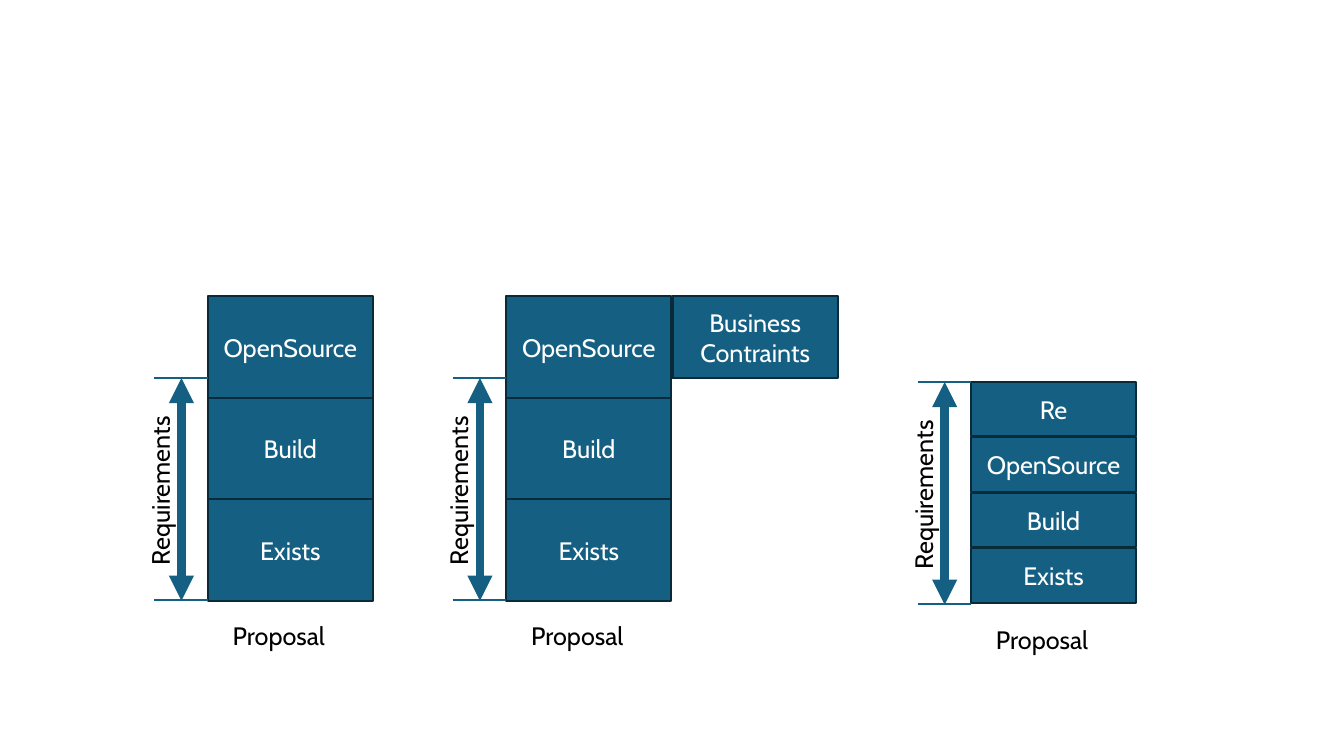
from pptx import Presentation
from pptx.dml.color import RGBColor
from pptx.enum.shapes import MSO_CONNECTOR, MSO_SHAPE
from pptx.enum.text import MSO_ANCHOR, MSO_AUTO_SIZE, PP_ALIGN
from pptx.oxml.ns import qn
from pptx.util import Emu, Pt
from lxml import etree

PX = 9144
FONT = "Cabin"
BLUE = RGBColor(0x15, 0x60, 0x82)
NAVY = RGBColor(0x09, 0x2A, 0x39)
WHITE = RGBColor(0xFF, 0xFF, 0xFF)
BLACK = RGBColor(0x00, 0x00, 0x00)
RECT = MSO_SHAPE.RECTANGLE
STRAIGHT = MSO_CONNECTOR.STRAIGHT
MIDDLE = MSO_ANCHOR.MIDDLE
GROW = MSO_AUTO_SIZE.SHAPE_TO_FIT_TEXT
LEFT, CENTER = PP_ALIGN.LEFT, PP_ALIGN.CENTER


def px(*lengths):
    return [Emu(round(n * PX)) for n in lengths]


def write(tf, text, size=18, color=BLACK, align=LEFT):
    p = tf.paragraphs[0]
    p.alignment = align
    r = p.add_run()
    r.text = text
    r.font.name = FONT
    r.font.size = Pt(size)
    r.font.color.rgb = color


def add_block(s, text, x, y, w, h):
    sp = s.shapes.add_shape(RECT, *px(x, y, w, h))
    sp.shadow.inherit = False
    sp.fill.solid()
    sp.fill.fore_color.rgb = BLUE
    sp.line.color.rgb = NAVY
    sp.line.width = Pt(1.5)
    tf = sp.text_frame
    tf.word_wrap = True
    tf.vertical_anchor = MIDDLE
    write(tf, text, color=WHITE, align=CENTER)


def add_label(s, text, x, y, w, h, rotation=0):
    sp = s.shapes.add_textbox(*px(x, y, w, h))
    sp.rotation = rotation
    tf = sp.text_frame
    tf.word_wrap = False
    tf.auto_size = GROW
    write(tf, text)


def add_line(s, x1, y1, x2, y2, width=1.5, arrows=False):
    line = s.shapes.add_connector(STRAIGHT, *px(x1, y1, x2, y2))
    line.line.color.rgb = BLUE
    line.line.width = Pt(width)
    if arrows:
        ln = line.line._get_or_add_ln()
        for end in ("a:headEnd", "a:tailEnd"):
            etree.SubElement(ln, qn(end)).set("type", "triangle")
    etree.SubElement(line._element.spPr, qn("a:effectLst"))


def add_stack(s, names, x, y, w, h, gap=0):
    pitch = h / len(names)
    for i, name in enumerate(names):
        add_block(s, name, x, y + i * pitch, w, pitch - gap)


def add_requirements(s, x, y, w, h):
    add_label(s, "Requirements", x - 81, y + 89, 173, 40, rotation=270)
    add_line(s, x + 27, y, x + 27, y + h + 1, width=6, arrows=True)
    for tick in (y, y + h):
        add_line(s, x, tick, x + w, tick)
    add_label(s, "Proposal", x + w + 15, y + h + 15, 117, 40)


def main():
    prs = Presentation()
    prs.slide_width, prs.slide_height = px(1333, 750)
    s = prs.slides.add_slide(prs.slide_layouts[6])
    parts = ["OpenSource", "Build", "Exists"]
    proposals = [
        (parts, 206, 294, 302, 0, 375),
        (parts, 502, 294, 302, 0, 375),
        (["Re"] + parts, 963, 379, 220, 1, 379),
    ]
    for names, x, y, h, gap, scale_top in proposals:
        add_stack(s, names, x, y, 164, h, gap)
        add_requirements(s, x - 53, scale_top, 53, 220)
    add_block(s, "Business Contraints", 667, 294, 164, 81)
    prs.save("out.pptx")


if __name__ == "__main__":
    main()
